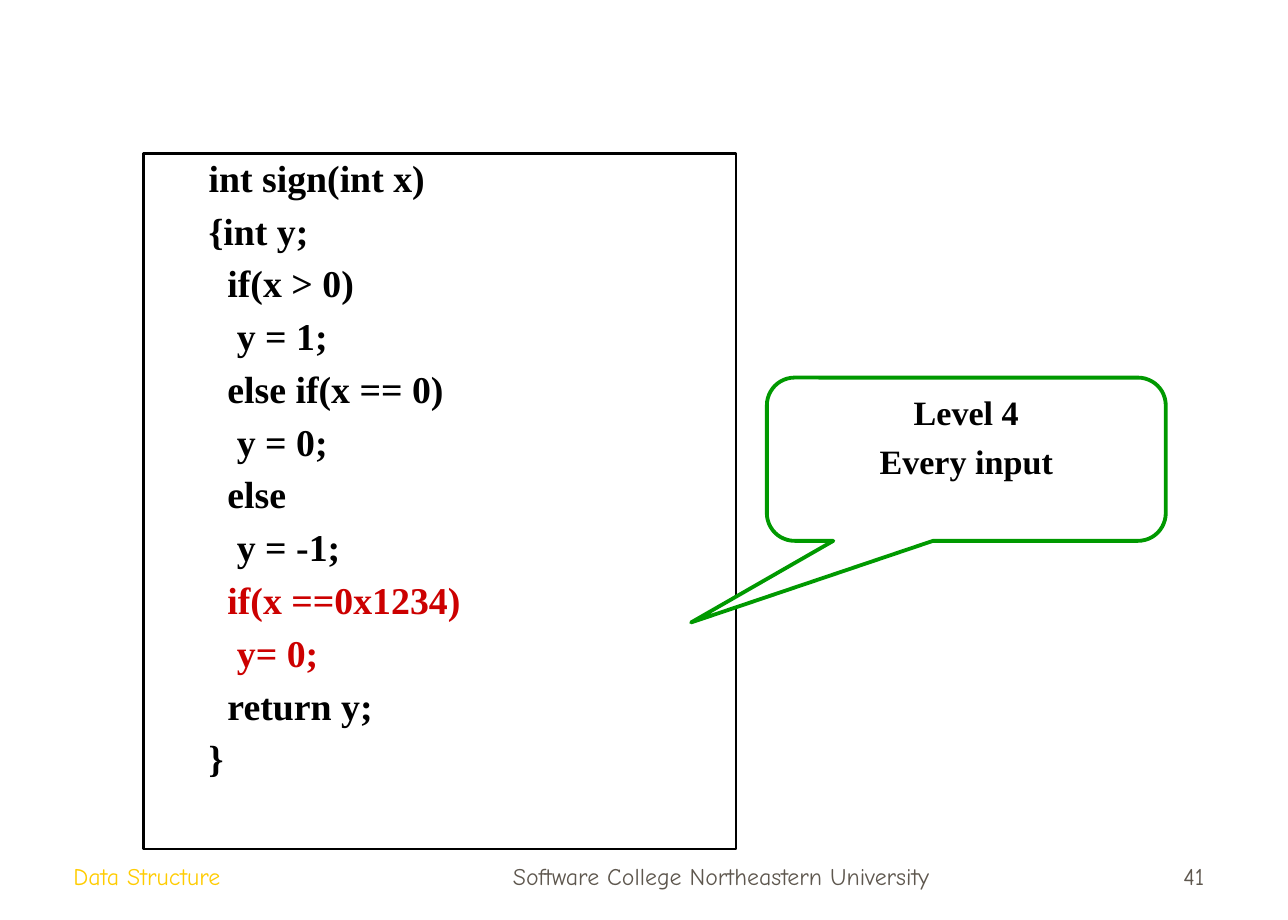
from dataclasses import dataclass

from pptx import Presentation
from pptx.dml.color import RGBColor
from pptx.enum.shapes import MSO_SHAPE as Shape
from pptx.enum.text import MSO_ANCHOR as Anchor, PP_ALIGN as Align
from pptx.util import Cm, Pt


@dataclass(frozen=True)
class Theme:
    white: str = "FFFFFF"
    black: str = "000000"
    red: str = "CC0000"
    green: str = "009900"
    yellow: str = "FFCC00"
    grey: str = "5E574E"
    code_font: str = "Times New Roman"
    footer_font: str = "Comic Neue"
    code_size: float = 22.2
    callout_size: float = 20
    footer_size: float = 14


theme = Theme()


def write(box, lines, *, font, size, color=theme.black, bold=False, align=Align.LEFT,
          anchor=Anchor.TOP, gap=0, spacing=1.0, marked=()):
    """Fill a box with one paragraph per line; lines in marked turn red."""
    frame = box.text_frame
    frame.word_wrap = True
    frame.vertical_anchor = anchor
    for index, line in enumerate(lines):
        para = frame.add_paragraph() if index else frame.paragraphs[0]
        para.alignment = align
        para.line_spacing = spacing
        para.space_before = Pt(gap if index else 0)
        span = para.add_run()
        span.text = line
        span.font.name = font
        span.font.size = Pt(size)
        span.font.bold = bold
        span.font.color.rgb = RGBColor.from_string(theme.red if line in marked else color)


def add_panel(page, kind, left, top, width, height, *, line_color, line_width):
    panel = page.shapes.add_shape(kind, Cm(left), Cm(top), Cm(width), Cm(height))
    panel.shadow.inherit = False
    panel.fill.solid()
    panel.fill.fore_color.rgb = RGBColor.from_string(theme.white)
    panel.line.color.rgb = RGBColor.from_string(line_color)
    panel.line.width = Pt(line_width)
    return panel


deck = Presentation()
deck.slide_width, deck.slide_height = Cm(26.67), Cm(19.05)
page = deck.slides.add_slide(deck.slide_layouts[6])

# Footer
footers = [
    ("Data Structure", 1.27, 5.56, Align.LEFT, theme.yellow),
    ("Software College Northeastern University", 9.12, 11.63, Align.CENTER, theme.grey),
    ("41", 19.63, 5.56, Align.RIGHT, theme.grey),
]
for text, left, width, align, color in footers:
    footer = page.shapes.add_textbox(Cm(left), Cm(17.3), Cm(width), Cm(1.27))
    write(footer, [text], font=theme.footer_font, size=theme.footer_size,
          color=color, align=align, anchor=Anchor.BOTTOM)

# Code listing
code = """int sign(int x)
{int y;
  if(x > 0)
   y = 1;
  else if(x == 0)
   y = 0;
  else
   y = -1;
  if(x ==0x1234)
   y= 0;
  return y;
}"""
listing = add_panel(page, Shape.RECTANGLE, 2.97, 3.18, 12.27, 14.4,
                    line_color=theme.black, line_width=1.5)
listing.text_frame.margin_left = Cm(1.35)
listing.text_frame.margin_right = Cm(0.76)
write(listing, code.splitlines(), font=theme.code_font, size=theme.code_size, bold=True,
      gap=7, spacing=0.9, marked=("  if(x ==0x1234)", "   y= 0;"))

# Callout pointing at the special case
callout = add_panel(page, Shape.ROUNDED_RECTANGULAR_CALLOUT, 15.88, 7.82, 8.26, 3.38,
                    line_color=theme.green, line_width=2.25)
for index, value in enumerate((-0.69, 1, 0.17)):
    callout.adjustments[index] = value
write(callout, ["Level 4", "Every input"], font=theme.code_font, size=theme.callout_size,
      bold=True, align=Align.CENTER, gap=4.6)

deck.save("out.pptx")
